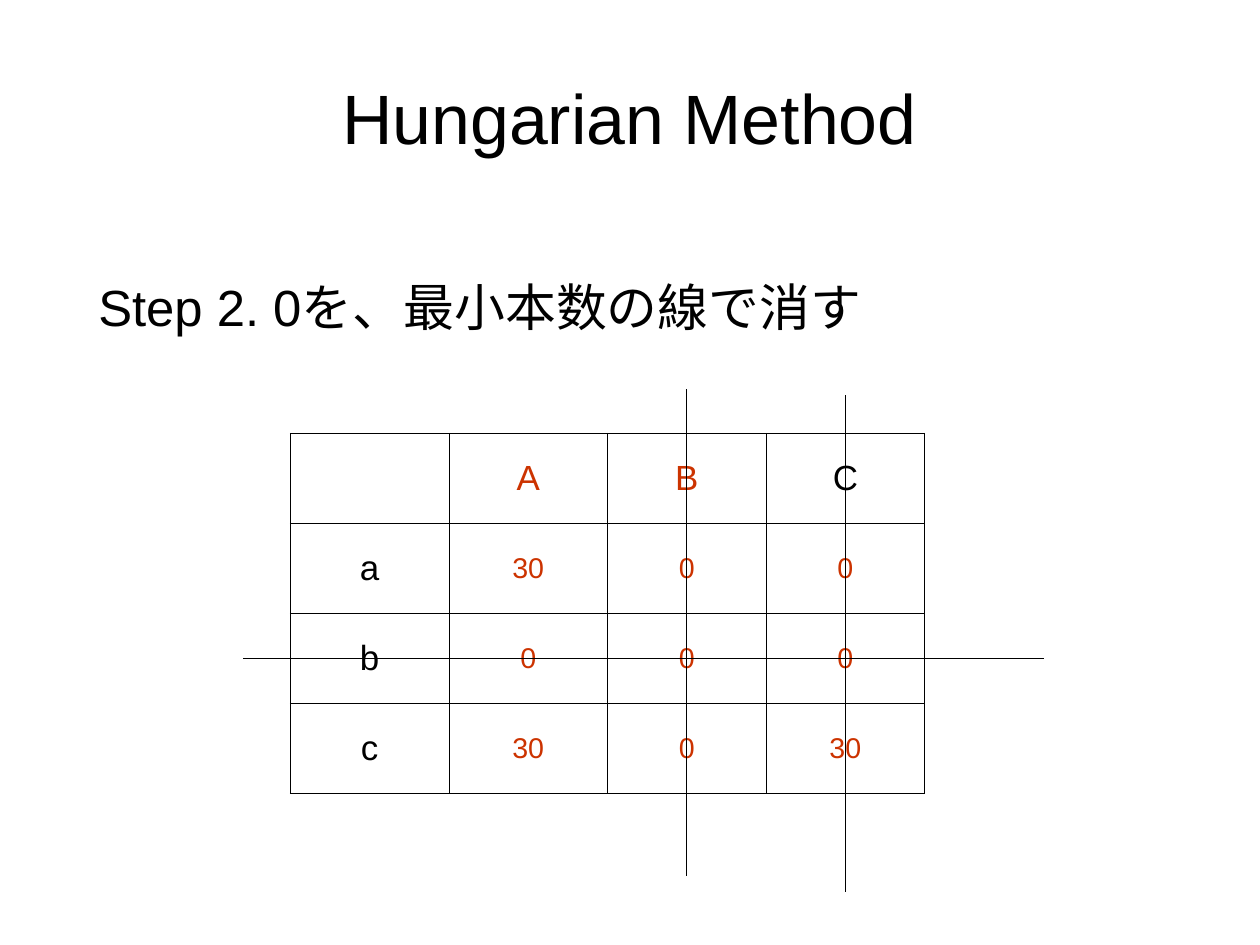
from lxml.etree import SubElement
from pptx import Presentation
from pptx.dml.color import RGBColor
from pptx.enum.shapes import MSO_CONNECTOR
from pptx.enum.text import MSO_ANCHOR, MSO_AUTO_SIZE, PP_ALIGN
from pptx.oxml.ns import qn
from pptx.util import Cm, Inches, Pt

BLACK = RGBColor(0x00, 0x00, 0x00)
RED = RGBColor(0xCC, 0x33, 0x00)
WHITE = RGBColor(0xFF, 0xFF, 0xFF)
FONT = "Arial"

COST_ROWS = [
    ["", "A", "B", "C"],
    ["a", "30", "0", "0"],
    ["b", "0", "0", "0"],
    ["c", "30", "0", "30"],
]
RED_HEADERS = ("A", "B")
TABLE_BOX = (2.54, 3.79, 5.55, 3.15)


def add_text(paragraph, text, size, color):
    run = paragraph.add_run()
    run.text = text
    run.font.name = FONT
    run.font.size = Pt(size)
    run.font.color.rgb = color


def place_placeholder(shape, box, anchor, auto_size):
    """Move a placeholder into the box, clear its insets and return its paragraph."""
    shape.left, shape.top, shape.width, shape.height = map(Inches, box)
    frame = shape.text_frame
    frame.margin_left = frame.margin_right = 0
    frame.margin_top = frame.margin_bottom = 0
    frame.word_wrap = True
    frame.vertical_anchor = anchor
    frame.auto_size = auto_size
    return frame.paragraphs[0]


def add_title(slide, box):
    paragraph = place_placeholder(slide.shapes.title, box, MSO_ANCHOR.MIDDLE,
                                  MSO_AUTO_SIZE.SHAPE_TO_FIT_TEXT)
    paragraph.alignment = PP_ALIGN.CENTER
    add_text(paragraph, "Hungarian Method", 44, BLACK)


def add_step(slide, box):
    paragraph = place_placeholder(slide.placeholders[1], box, MSO_ANCHOR.TOP,
                                  MSO_AUTO_SIZE.NONE)
    paragraph.space_before = Pt(14.2)
    properties = paragraph._p.get_or_add_pPr()
    properties.set("marL", str(Inches(0.47)))
    properties.set("indent", "0")
    SubElement(properties, qn("a:buNone"))
    add_text(paragraph, "Step 2. 0を、最小本数の線で消す", 32, BLACK)


def format_cell(cell):
    """Give the cell a white fill, centred text and thin black borders."""
    cell.vertical_anchor = MSO_ANCHOR.MIDDLE
    properties = cell._tc.get_or_add_tcPr()
    for side in ("a:lnL", "a:lnR", "a:lnT", "a:lnB"):
        border = SubElement(properties, qn(side), w=str(Pt(0.57)))
        fill = SubElement(border, qn("a:solidFill"))
        SubElement(fill, qn("a:srgbClr"), val=str(BLACK))
    cell.fill.solid()
    cell.fill.fore_color.rgb = WHITE


def add_cost_table(slide, box):
    left, top, width, height = box
    row_count, column_count = len(COST_ROWS), len(COST_ROWS[0])
    table = slide.shapes.add_table(row_count, column_count,
                                   *map(Inches, box)).table
    table.first_row = False
    table.horz_banding = False
    for column in table.columns:
        column.width = Inches(width / column_count)
    for row in table.rows:
        row.height = Inches(height / row_count)

    for row_index, texts in enumerate(COST_ROWS):
        for column_index, text in enumerate(texts):
            cell = table.cell(row_index, column_index)
            format_cell(cell)
            if not text:
                continue
            is_cost = row_index > 0 and column_index > 0
            paragraph = cell.text_frame.paragraphs[0]
            paragraph.alignment = PP_ALIGN.CENTER
            add_text(paragraph, text, 18 if is_cost else 22,
                     RED if is_cost or text in RED_HEADERS else BLACK)


def add_line(slide, start, end):
    """Draw a black hairline; its zero width has to be written in the XML."""
    line = slide.shapes.add_connector(MSO_CONNECTOR.STRAIGHT,
                                      *map(Inches, start + end))
    line.line.color.rgb = BLACK
    properties = line._element.spPr
    properties.find(qn("a:ln")).set("w", "0")
    SubElement(properties, qn("a:effectLst"))


def add_covering_lines(slide, box):
    """Strike out columns B and C and row b of the table in the box."""
    left, top, width, height = box
    right, bottom = left + width, top + height
    column_width = width / len(COST_ROWS[0])
    row_middle = top + 2.5 * height / len(COST_ROWS)

    def strike_column(index, above, below):
        middle = left + (index + 0.5) * column_width
        add_line(slide, (middle, top - above), (middle, bottom + below))

    strike_column(2, 0.38, 0.72)
    add_line(slide, (left - 0.41, row_middle), (right + 1.04, row_middle))
    strike_column(3, 0.33, 0.86)


def main():
    presentation = Presentation()
    presentation.slide_width = Cm(28)
    presentation.slide_height = Cm(21)
    slide = presentation.slides.add_slide(presentation.slide_layouts[1])
    add_title(slide, (0.55, 0.33, 9.92, 1.38))
    add_step(slide, (0.39, 2.41, 10.31, 0.59))
    add_cost_table(slide, TABLE_BOX)
    add_covering_lines(slide, TABLE_BOX)
    presentation.save("out.pptx")


if __name__ == "__main__":
    main()
